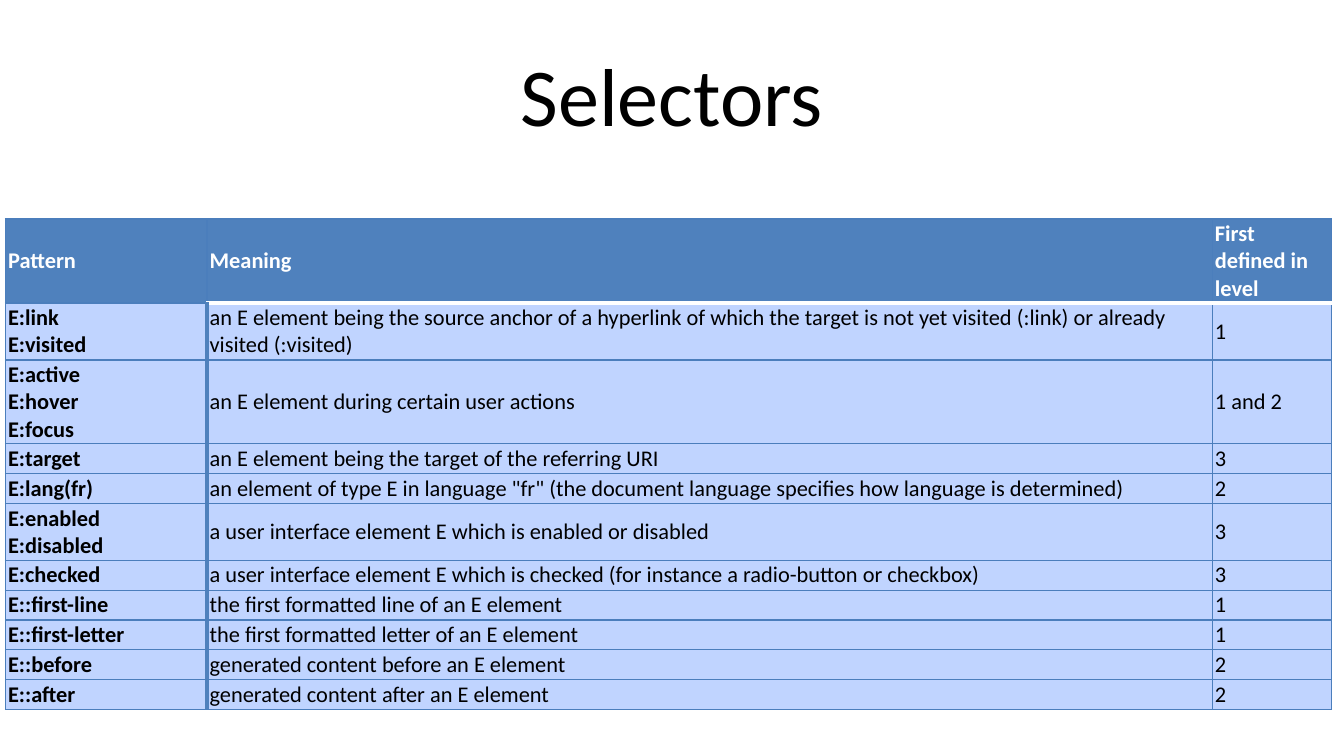
from dataclasses import dataclass

from lxml.etree import SubElement
from pptx import Presentation
from pptx.dml.color import RGBColor as RGB
from pptx.enum.text import MSO_ANCHOR as Anchor, PP_ALIGN as Align
from pptx.oxml.ns import qn
from pptx.util import Inches, Pt


@dataclass(frozen=True)
class Theme:
    font: str = "Calibri"
    title_size: int = 44
    table_size: int = 12
    line_spacing: float = 1.21
    text: str = "000000"
    header_text: str = "FFFFFF"
    header_fill: str = "4F81BD"
    body_fill: str = "C0D4FF"
    grid: str = "4B7EBC"
    thin: float = 0.75
    thick: float = 2


HEADER = ("Pattern", "Meaning", "First defined in level")
SELECTORS = [
    ("E:link\nE:visited",
     "an E element being the source anchor of a hyperlink of which the target "
     "is not yet visited (:link) or already visited (:visited)", "1"),
    ("E:active\nE:hover\nE:focus", "an E element during certain user actions", "1 and 2"),
    ("E:target", "an E element being the target of the referring URI", "3"),
    ("E:lang(fr)",
     'an element of type E in language "fr" (the document language specifies '
     "how language is determined)", "2"),
    ("E:enabled\nE:disabled", "a user interface element E which is enabled or disabled", "3"),
    ("E:checked",
     "a user interface element E which is checked (for instance a radio-button "
     "or checkbox)", "3"),
    ("E::first-line", "the first formatted line of an E element", "1"),
    ("E::first-letter", "the first formatted letter of an E element", "1"),
    ("E::before", "generated content before an E element", "2"),
    ("E::after", "generated content after an E element", "2"),
]
COLUMN_WIDTHS = (1.5, 7.48, 0.89)
HEADER_LINES = 3


class SlideBuilder:
    def __init__(self, slide, theme):
        self.slide = slide
        self.theme = theme

    def format_text(self, paragraph, size, color, bold=False):
        for run in paragraph.runs:
            run.font.name = self.theme.font
            run.font.size = Pt(size)
            run.font.bold = bold
            run.font.color.rgb = RGB.from_string(color)
        # Line breaks keep the size of the text around them
        for line_break in paragraph._p.findall(qn("a:br")):
            SubElement(line_break, qn("a:rPr"), sz=str(size * 100))

    def title(self, text, left, top, width, height):
        box = self.slide.shapes.add_textbox(
            Inches(left), Inches(top), Inches(width), Inches(height))
        frame = box.text_frame
        frame.word_wrap = True
        frame.vertical_anchor = Anchor.MIDDLE
        frame.text = text
        paragraph = frame.paragraphs[0]
        paragraph.alignment = Align.CENTER
        self.format_text(paragraph, self.theme.title_size, self.theme.text)

    def border(self, cell, side, color, width):
        line = SubElement(cell._tc.get_or_add_tcPr(), qn(f"a:ln{side}"), w=str(Pt(width)))
        fill = SubElement(line, qn("a:solidFill"))
        SubElement(fill, qn("a:srgbClr"), val=color)

    def cell_borders(self, cell, row, column):
        theme = self.theme
        sides = dict.fromkeys("LRTB", (theme.grid, theme.thin))
        # Heavy rule to the right of the pattern column
        if row > 0 and column < 2:
            sides["R" if column == 0 else "L"] = (theme.header_fill, theme.thick)
        # White rule under the header, right of the pattern column
        if row < 2 and column > 0:
            sides["B" if row == 0 else "T"] = (theme.header_text, theme.thick)
        for side, (color, width) in sides.items():
            self.border(cell, side, color, width)

    def cell(self, cell, text, row, column):
        theme = self.theme
        is_header = row == 0
        self.cell_borders(cell, row, column)
        cell.fill.solid()
        cell.fill.fore_color.rgb = RGB.from_string(
            theme.header_fill if is_header else theme.body_fill)
        cell.vertical_anchor = Anchor.MIDDLE
        cell.margin_left = cell.margin_right = Inches(0.02)
        cell.margin_top = cell.margin_bottom = Inches(0.01)
        paragraph = cell.text_frame.paragraphs[0]
        paragraph.text = text
        self.format_text(paragraph, theme.table_size,
                         theme.header_text if is_header else theme.text,
                         bold=is_header or column == 0)

    def table(self, rows, left, top, widths):
        # Each row is as tall as its lines of text plus the cell margins
        line_height = self.theme.line_spacing * self.theme.table_size / 72
        lines = [HEADER_LINES] + [row[0].count("\n") + 1 for row in rows[1:]]
        heights = [0.02 + line_height * count for count in lines]
        table = self.slide.shapes.add_table(
            len(rows), len(widths), Inches(left), Inches(top),
            Inches(sum(widths)), Inches(sum(heights))).table
        table.horz_banding = False
        for column, width in zip(table.columns, widths):
            column.width = Inches(width)
        for row, height in zip(table.rows, heights):
            row.height = Inches(height)
        for r, values in enumerate(rows):
            for c, text in enumerate(values):
                self.cell(table.cell(r, c), text, r, c)


def main():
    presentation = Presentation()
    # Widescreen, 16 to 9
    presentation.slide_width = Inches(10)
    presentation.slide_height = Inches(10 * 9 / 16)
    slide = presentation.slides.add_slide(presentation.slide_layouts[6])
    builder = SlideBuilder(slide, Theme())

    # Heading
    builder.title("Selectors", 0.5, 0.23, 9, 0.94)

    # Table of selectors
    builder.table([HEADER, *SELECTORS], 0.04, 1.63, COLUMN_WIDTHS)

    presentation.save("out.pptx")


if __name__ == "__main__":
    main()
